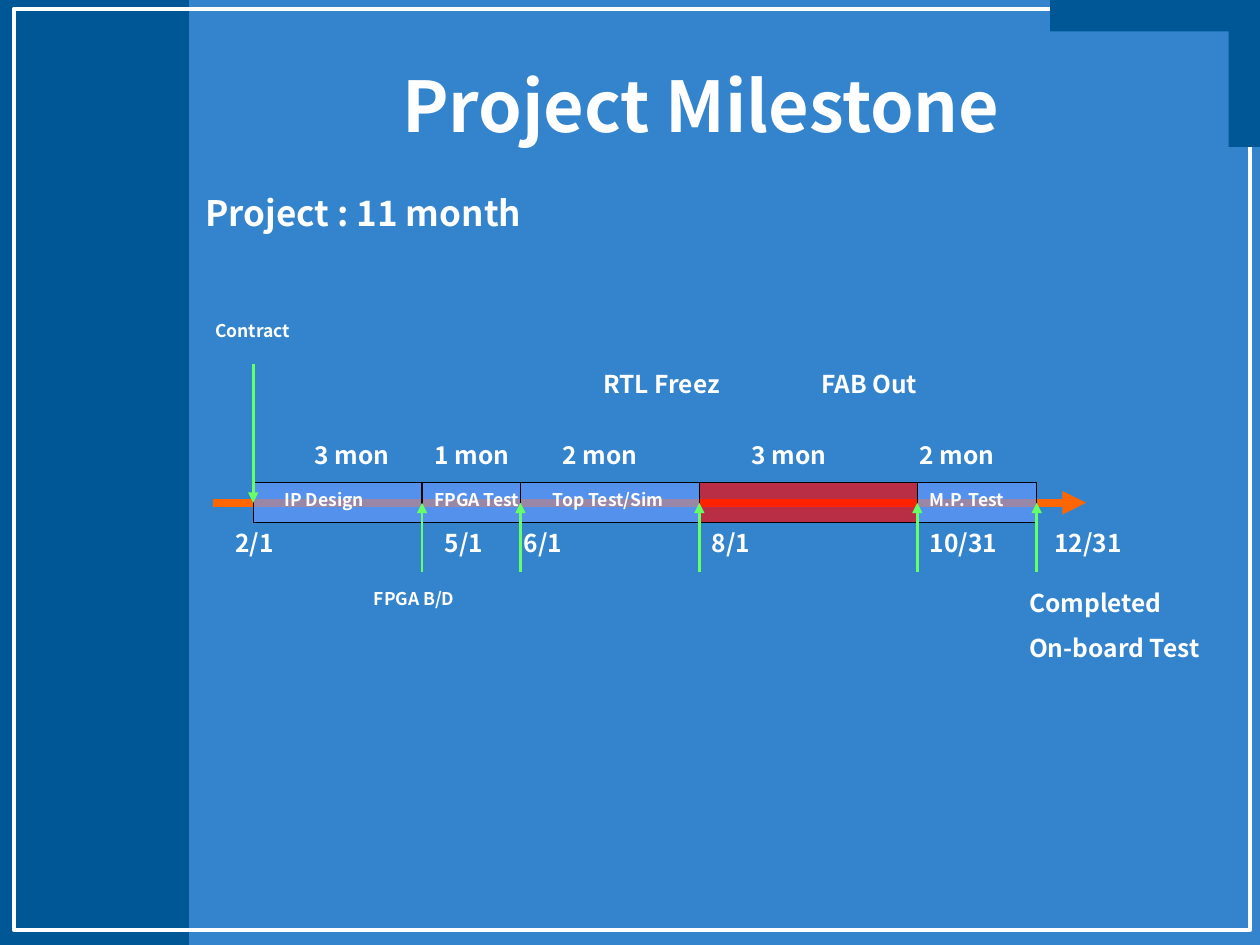
"""Build the project milestone timeline slide."""
from lxml import etree
from pptx import Presentation
from pptx.dml.color import RGBColor
from pptx.enum.shapes import MSO_CONNECTOR, MSO_SHAPE
from pptx.enum.text import MSO_ANCHOR, PP_ALIGN
from pptx.oxml.ns import qn
from pptx.util import Pt

STRAIGHT = MSO_CONNECTOR.STRAIGHT
RECTANGLE = MSO_SHAPE.RECTANGLE
MIDDLE, TOP = MSO_ANCHOR.MIDDLE, MSO_ANCHOR.TOP
CENTER, LEFT = PP_ALIGN.CENTER, PP_ALIGN.LEFT
LEFT_SIDE, RIGHT_SIDE = 1, 3

BACKGROUND = RGBColor(0x33, 0x84, 0xCD)
NAVY = RGBColor(0x00, 0x57, 0x96)
WHITE = RGBColor(0xFF, 0xFF, 0xFF)
BLACK = RGBColor(0x00, 0x00, 0x00)
ORANGE = RGBColor(0xFF, 0x66, 0x00)
GREEN = RGBColor(0x66, 0xFF, 0x66)
BLUE = RGBColor(0x66, 0x99, 0xFF)
RED = RGBColor(0xFF, 0x00, 0x00)

BAR_TOP, BAR_HEIGHT = 275.8, 23
AXIS = BAR_TOP + BAR_HEIGHT / 2
DURATION_TOP, DATE_TOP, EVENT_TOP, NOTE_TOP = 247.7, 298.1, 207.4, 332.6
CONTRACT_ARROW_TOP, ARROW_BOTTOM = 208.1, 326.9
MILESTONES = [144.7, 241.2, 297.4, 399.6, 524.2, 592.4]
PHASE_COLORS = [BLUE, BLUE, BLUE, RED, BLUE]
PHASES = [(155.5, "IP Design"), (241.2, "FPGA Test"),
          (308.9, "Top Test/Sim"), (524.2, "M.P. Test")]
DURATIONS = [(172.8, "3 mon"), (241.2, "1 mon"), (314.6, "2 mon"),
             (422.6, "3 mon"), (518.4, "2 mon")]
DATES = [(127.4, "2/1"), (247, "5/1"), (292.3, "6/1"),
         (399.6, "8/1"), (524.2, "10/31"), (595.4, "12/31")]
EVENTS = [(337.7, "RTL Freez"), (462.2, "FAB Out")]


class SlideBuilder:
    """Hold the text style and the current slide."""

    font_name = "Noto Sans CJK KR"
    text_color = WHITE

    def __init__(self, slide):
        self.slide = slide
        fill = slide.background.fill
        fill.solid()
        fill.fore_color.rgb = BACKGROUND

    def rectangle(self, left, top, width, height, fill=None, line=None,
                  line_width=0.75, opacity=100):
        shape = self.slide.shapes.add_shape(
            RECTANGLE, Pt(left), Pt(top), Pt(width), Pt(height))
        shape.shadow.inherit = False
        if fill is None:
            shape.fill.background()
        else:
            shape.fill.solid()
            shape.fill.fore_color.rgb = fill
            if opacity < 100:
                color = shape.fill._xPr.find(".//" + qn("a:srgbClr"))
                etree.SubElement(color, qn("a:alpha"), val=str(opacity * 1000))
        if line is None:
            shape.line.fill.background()
        else:
            shape.line.color.rgb = line
            shape.line.width = Pt(line_width)
        return shape

    def arrow(self, start, end, color, width):
        connector = self.slide.shapes.add_connector(
            STRAIGHT, *(Pt(value) for value in (*start, *end)))
        connector.line.color.rgb = color
        connector.line.width = Pt(width)
        etree.SubElement(connector.line._get_or_add_ln(), qn("a:tailEnd"),
                         type="triangle")
        etree.SubElement(connector._element.spPr, qn("a:effectLst"))
        return connector

    def text(self, left, top, *lines, size=14, width=124.6, height=None,
             align=LEFT, anchor=TOP):
        spacing = size * 0.625
        if height is None:
            height = 7.2 + size * 1.23 * len(lines) + spacing * (len(lines) - 1)
        box = self.slide.shapes.add_textbox(
            Pt(left), Pt(top), Pt(width), Pt(height))
        frame = box.text_frame
        frame.word_wrap = True
        frame.vertical_anchor = anchor
        for index, line in enumerate(lines):
            paragraph = frame.add_paragraph() if index else frame.paragraphs[0]
            paragraph.alignment = align
            if index:
                paragraph.space_before = Pt(spacing)
            run = paragraph.add_run()
            run.text = line
            run.font.name = self.font_name
            run.font.size = Pt(size)
            run.font.bold = True
            run.font.color.rgb = self.text_color

    def text_row(self, top, labels, size=14):
        for left, label in labels:
            self.text(left, top, label, size=size)


def draw_frame(builder):
    builder.rectangle(0, 0, 108, 540, NAVY)
    builder.rectangle(7.9, 5, 706.4, 526.4, line=WHITE, line_width=2.25)
    builder.rectangle(600, 0, 120, 18, NAVY)
    builder.rectangle(702, 0, 18, 84, NAVY)


def draw_timeline(builder):
    builder.arrow((121.7, AXIS), (620.6, AXIS), ORANGE, 4.5)
    bars = [builder.rectangle(left, BAR_TOP, right - left, BAR_HEIGHT,
                              color, BLACK, opacity=66)
            for left, right, color
            in zip(MILESTONES, MILESTONES[1:], PHASE_COLORS)]
    targets = [(bar, LEFT_SIDE) for bar in bars] + [(bars[-1], RIGHT_SIDE)]
    starts = [CONTRACT_ARROW_TOP] + [ARROW_BOTTOM] * len(bars)
    for x, start, (bar, side) in zip(MILESTONES, starts, targets):
        arrow = builder.arrow((x, start), (x, AXIS), GREEN, 1.5)
        arrow.end_connect(bar, side)


def draw_labels(builder):
    builder.text(108, 23.8, "Project Milestone ", size=40, width=594,
                 height=72, align=CENTER, anchor=MIDDLE)
    builder.text(110.2, 105.8, "Project : 11 month", size=20, width=317.5)
    builder.text_row(EVENT_TOP, EVENTS)
    builder.text_row(DURATION_TOP, DURATIONS)
    builder.text_row(BAR_TOP, PHASES, size=10)
    builder.text_row(DATE_TOP, DATES)
    builder.text(115.9, 179.3, "Contract", size=10, width=85)
    builder.text(206.6, NOTE_TOP, "FPGA B/D", size=10)
    builder.text(581, NOTE_TOP, "Completed", "On-board Test")


def main():
    presentation = Presentation()
    presentation.slide_width, presentation.slide_height = Pt(720), Pt(540)
    slide = presentation.slides.add_slide(presentation.slide_layouts[6])
    builder = SlideBuilder(slide)
    draw_frame(builder)
    draw_timeline(builder)
    draw_labels(builder)
    presentation.save("out.pptx")


if __name__ == "__main__":
    main()
